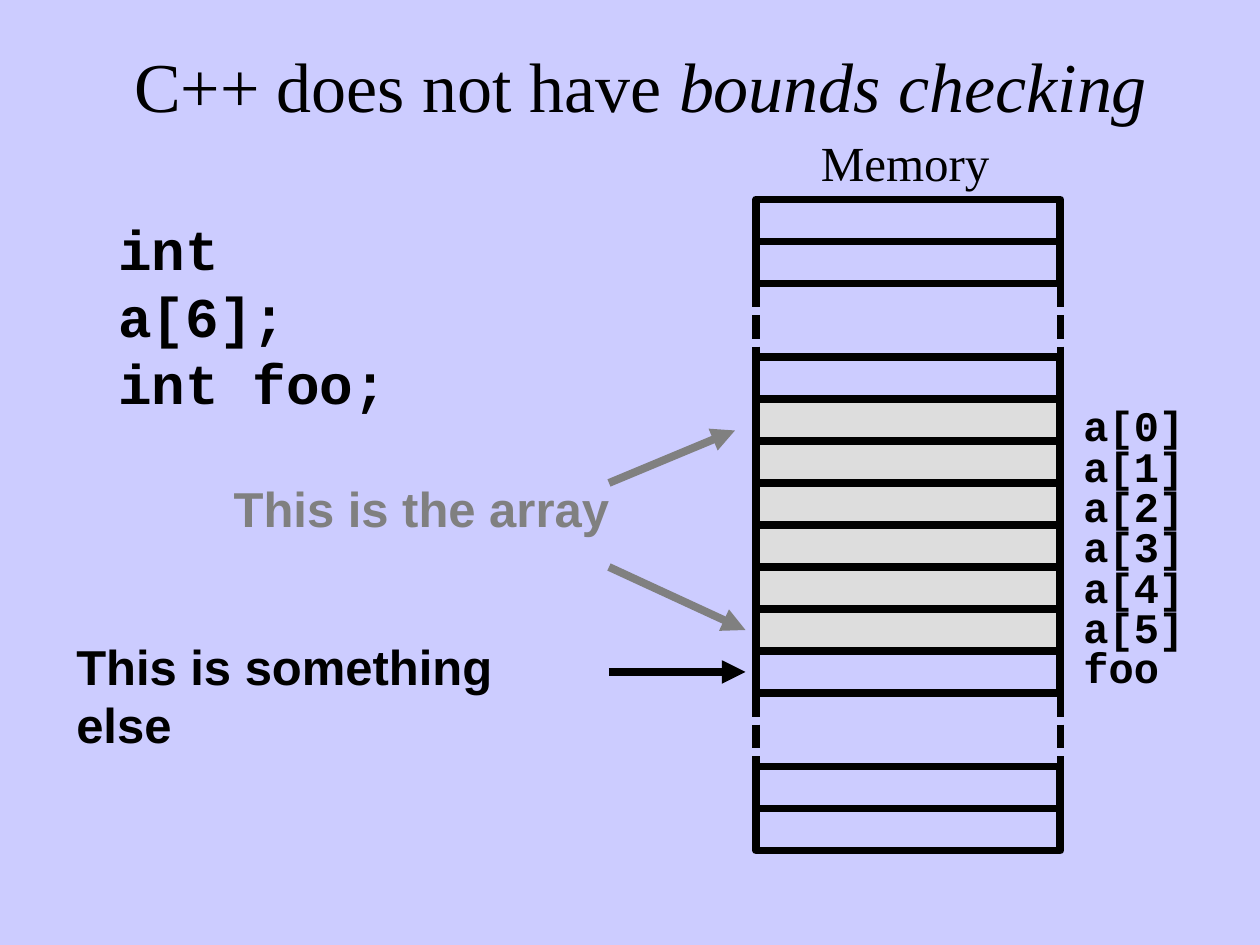
import pptx
import pptx.util
import pptx.dml.color
import pptx.enum.dml
import pptx.enum.shapes
import pptx.enum.text
import pptx.oxml
import pptx.oxml.ns

Pt = pptx.util.Pt
BLACK, GRAY, CELL, BACKGROUND = "000000", "808080", "DDDDDD", "CCCCFF"
SERIF, SANS, MONO = "Times New Roman", "Arial", "Courier New"

# Content: title runs as (text, italic)
TITLE = [("C++ does not have ", False), ("bounds checking", True)]
# Labels: lines, (left, top, width, height), font, size, colour, bold, line spacing
LABELS = [
    (["Memory"], (462, 72, 111, 41), SERIF, 28, BLACK, False, None),
    (["int a[6];", "int foo;"], (60.5, 119, 187, 84), MONO, 32, BLACK, True, None),
    (["This is the array"], (126.5, 270, 236, 41), SANS, 28, GRAY, True, None),
    (["This is something else"], (36.5, 360, 314, 41), SANS, 28, BLACK, True, None),
    ([f"a[{i}]" for i in range(6)] + ["foo"], (612, 230.5, 72, 168.5),
     MONO, 24, BLACK, True, 0.8),
]
# Arrows: start, end, colour
ARROWS = [
    ((348, 276), (420, 246), GRAY),
    ((348, 324), (426, 360), GRAY),
    ((348, 384), (426, 384), BLACK),
]
# Memory blocks from top to bottom: one flag per cell, True for array cells
BLOCKS = [[False] * 2, [False] + [True] * 6 + [False], [False] * 2]
MEM_LEFT, MEM_TOP, CELL_W, CELL_H, GAP = 432, 114, 174, 24, 42
LINE_W = 4.5


def rgb(value):
    return pptx.dml.color.RGBColor.from_string(value)


def style_line(line, color):
    line.color.rgb = rgb(color)
    line.width = Pt(LINE_W)


def add_line(start, end, color, dotted=False, arrow=False):
    s = slide.shapes.add_connector(
        pptx.enum.shapes.MSO_CONNECTOR.STRAIGHT, *map(Pt, start + end))
    style_line(s.line, color)
    if dotted:
        s.line.dash_style = pptx.enum.dml.MSO_LINE.ROUND_DOT
        s.line.dash_style = pptx.enum.dml.MSO_LINE.SQUARE_DOT
    if arrow:
        head = pptx.oxml.parse_xml(
            f'<a:tailEnd {pptx.oxml.ns.nsdecls("a")} type="triangle"/>')
        s.line._get_or_add_ln().append(head)
    s._element.spPr.append(
        pptx.oxml.parse_xml(f'<a:effectLst {pptx.oxml.ns.nsdecls("a")}/>'))


def add_cell(top, in_array):
    s = slide.shapes.add_shape(pptx.enum.shapes.MSO_SHAPE.RECTANGLE,
                               *map(Pt, (MEM_LEFT, top, CELL_W, CELL_H)))
    s.shadow.inherit = False
    if in_array:
        s.fill.solid()
        s.fill.fore_color.rgb = rgb(CELL)
    else:
        s.fill.background()
    style_line(s.line, BLACK)


def add_run(p, text, font, size, color, bold=False, italic=False):
    r = p.add_run()
    r.text = text
    r.font.name = font
    r.font.size = Pt(size)
    r.font.color.rgb = rgb(color)
    r.font.bold = bold
    r.font.italic = italic


prs = pptx.Presentation()
prs.slide_width, prs.slide_height = Pt(720), Pt(540)
slide = prs.slides.add_slide(prs.slide_layouts[6])
slide.background.fill.solid()
slide.background.fill.fore_color.rgb = rgb(BACKGROUND)

# Title
tf = slide.shapes.add_textbox(*map(Pt, (36, 18, 660, 60))).text_frame
tf.word_wrap = True
tf.vertical_anchor = pptx.enum.text.MSO_ANCHOR.MIDDLE
tf.paragraphs[0].alignment = pptx.enum.text.PP_ALIGN.CENTER
for text, italic in TITLE:
    add_run(tf.paragraphs[0], text, SERIF, 40, BLACK, italic=italic)

# Memory column, with dotted sides between its blocks
top = MEM_TOP
for n, block in enumerate(BLOCKS):
    if n:
        for x in (MEM_LEFT, MEM_LEFT + CELL_W):
            add_line((x, top), (x, top + GAP), BLACK, dotted=True)
        top += GAP
    for in_array in block:
        add_cell(top, in_array)
        top += CELL_H

# Labels
for lines, box, font, size, color, bold, spacing in LABELS:
    tf = slide.shapes.add_textbox(*map(Pt, box)).text_frame
    tf.word_wrap = False
    for i, text in enumerate(lines):
        p = tf.add_paragraph() if i else tf.paragraphs[0]
        if spacing:
            p.line_spacing = spacing
        add_run(p, text, font, size, color, bold)

# Arrows
for start, end, color in ARROWS:
    add_line(start, end, color, arrow=True)

prs.save("out.pptx")
